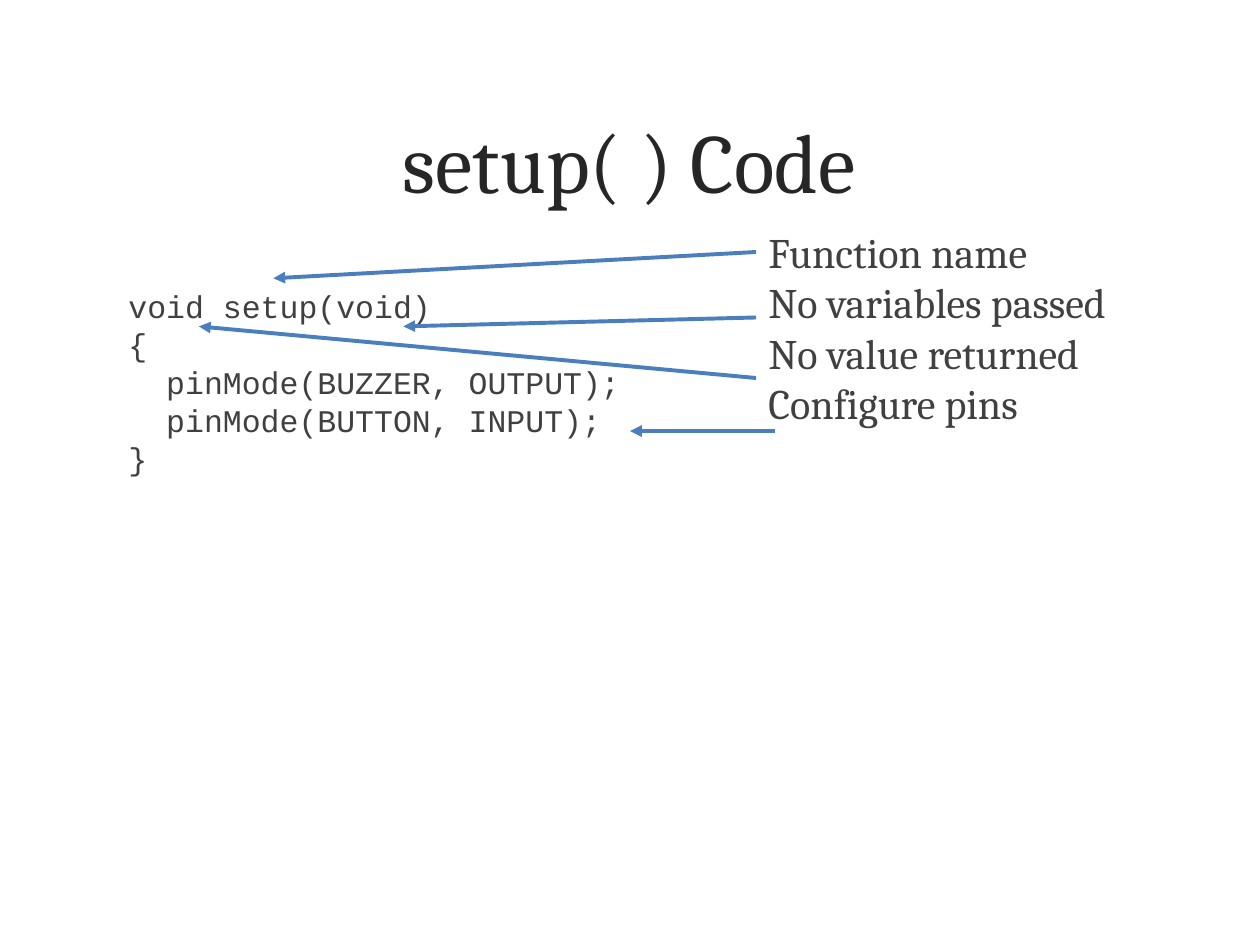
from pptx import Presentation
from pptx.dml.color import RGBColor
from pptx.enum.shapes import MSO_CONNECTOR
from pptx.enum.text import MSO_ANCHOR, PP_ALIGN
from pptx.oxml.ns import qn
from pptx.util import Cm, Pt
from lxml.etree import SubElement

TITLE = RGBColor(0x26, 0x26, 0x26)
BODY = RGBColor(0x40, 0x40, 0x40)
BLUE = RGBColor(0x4B, 0x7E, 0xBC)

prs = Presentation()
prs.slide_width, prs.slide_height = Cm(25.4), Cm(19.05)
s = prs.slides.add_slide(prs.slide_layouts[6])


def add_text(box, text, font, size, color, spacing=None):
    tf = s.shapes.add_textbox(*[Cm(v) for v in box]).text_frame
    tf.word_wrap = True
    tf.text = text
    for p in tf.paragraphs:
        p.line_spacing = spacing
        for r in p.runs:
            r.font.name = font
            r.font.size = Pt(size)
            r.font.color.rgb = color
    return tf


code = """void setup(void)
{
  pinMode(BUZZER, OUTPUT);
  pinMode(BUTTON, INPUT);
}"""
notes = """Function name
No variables passed
No value returned
Configure pins"""

tf = add_text((1.52, 1.22, 22.33, 4.01), "setup( ) Code", "Cambria", 48, TITLE)
tf.vertical_anchor = MSO_ANCHOR.MIDDLE
tf.paragraphs[0].alignment = PP_ALIGN.CENTER
add_text((2.34, 5.66, 11.43, 10.97), code, "Courier New", 18, BODY, Pt(21.7))
add_text((15.24, 4.45, 8.26, 10.97), notes, "Cambria", 24, BODY, Pt(28.7))

arrows = [
    (15.24, 5.08, 5.51, 5.61),
    (15.24, 7.62, 4.01, 6.58),
    (15.24, 6.4, 8.13, 6.58),
    (15.62, 8.69, 12.7, 8.69),
]
for ends in arrows:
    c = s.shapes.add_connector(MSO_CONNECTOR.STRAIGHT, *[Cm(v) for v in ends])
    c.line.color.rgb = BLUE
    c.line.width = Pt(2.25)
    SubElement(c.line._get_or_add_ln(), qn("a:tailEnd"), type="triangle")
    SubElement(c._element.spPr, qn("a:effectLst"))

prs.save("out.pptx")
